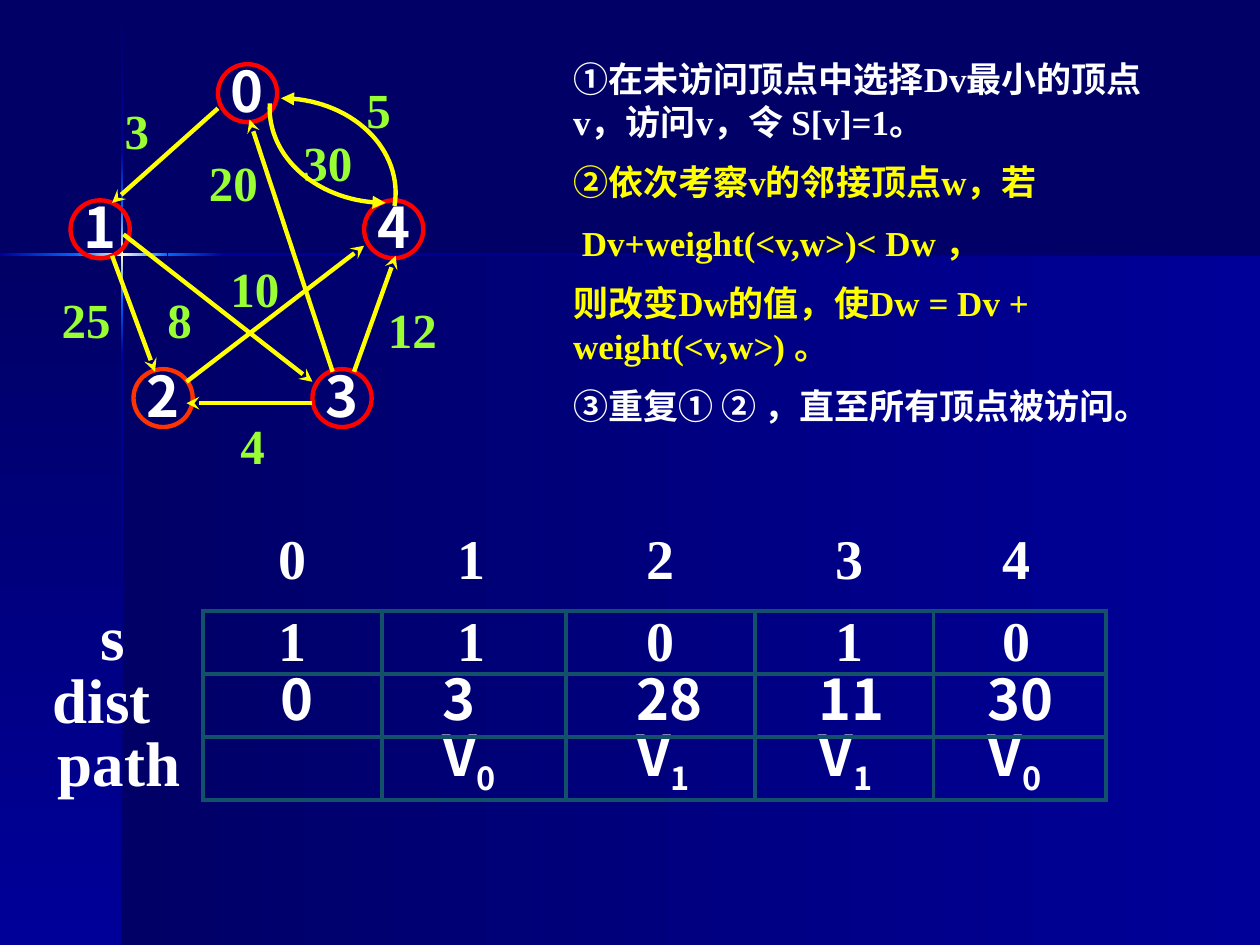
from copy import deepcopy
from math import cos, radians, sin

from pptx import Presentation
from pptx.dml.color import RGBColor
from pptx.enum.shapes import MSO_CONNECTOR, MSO_SHAPE
from pptx.enum.text import MSO_ANCHOR, PP_ALIGN
from pptx.oxml import parse_xml
from pptx.oxml.ns import nsdecls, qn
from pptx.util import Inches, Pt

WHITE = RGBColor(0xFF, 0xFF, 0xFF)
YELLOW = RGBColor(0xFF, 0xFF, 0x00)
GREEN = RGBColor(0x99, 0xFF, 0x33)
RED = RGBColor(0xFF, 0x00, 0x00)
ORANGE = RGBColor(0xFF, 0x33, 0x00)
TEAL = RGBColor(0x13, 0x50, 0x69)
NAVY = RGBColor(0x00, 0x00, 0x66)
BLUE = RGBColor(0x00, 0x00, 0x99)
BRIGHT = RGBColor(0x00, 0x66, 0xFF)
CREAM = RGBColor(0xFF, 0xFF, 0xCC)

SERIF = "Times New Roman"
SANS = "Noto Sans CJK SC"
PLAIN_TABLE = "{2D5ABB26-0587-4C30-8999-92F81FD0307C}"

# The slide is a grid of 100 columns by 75 rows
COLUMNS, ROWS = 100, 75
DOWN, ACROSS = 270, 0

BANDS = [  # left, top, width, height, direction, colours
    (9.7, 20.2, 90.3, 54.8, ACROSS, (NAVY, BLUE)),
    (0, 20.2, 9.7, 54.8, DOWN, (NAVY, BLUE)),
    (9.6, 0.1, 0.2, 12, DOWN, (NAVY, BLUE)),
    (9.6, 28.2, 0.2, 46.8, DOWN, (BLUE, NAVY)),
    (17.7, 20.1, 82.3, 0.2, ACROSS, (BLUE, NAVY)),
    (9.6, 23.8, 0.2, 4.4, DOWN, (BRIGHT, BLUE)),
    (9.6, 12.1, 0.2, 4.4, DOWN, (BLUE, BRIGHT)),
    (9.6, 16.5, 0.2, 7.3, DOWN, (BRIGHT, CREAM, BRIGHT)),
    (0, 20.1, 6.1, 0.2, ACROSS, (BLUE, BRIGHT)),
    (13.3, 20.1, 4.4, 0.2, ACROSS, (BRIGHT, BLUE)),
    (6, 20.1, 7.3, 0.2, ACROSS, (BRIGHT, CREAM, BRIGHT)),
]
NODES = [("0", 17.3, 5.1, RED), ("1", 5.6, 15.9, RED), ("2", 10.6, 29.3, ORANGE),
         ("3", 24.8, 29.3, RED), ("4", 28.9, 15.9, RED)]
WEIGHTS = [("3", 8.9, 7), ("25", 3.9, 22), ("8", 12.3, 22), ("10", 17.3, 19.5),
           ("20", 15.6, 11.1), ("4", 18.1, 32), ("5", 28.1, 5.3),
           ("30", 23.1, 9.5), ("12", 29.8, 22.8)]
EDGES = [(8.9, 20.3, 12.3, 29.5), (24.8, 32, 14.8, 32), (28.1, 29.5, 31.4, 20.3),
         (26.4, 29.5, 19.8, 9.5), (9.8, 18.6, 24.8, 30.3), (14.8, 30.3, 28.9, 19.5),
         (17.3, 8.6, 8.9, 16.1)]
CURVES = [  # centre, radii, first and last angle
    (22.3, 15.3, 9.1, 7.5, -90, 8),
    (30.6, 8.6, 9.2, 7.5, 90, 183),
]
STEPS = [
    ("①在未访问顶点中选择Dv最小的顶点v，访问v，令 S[v]=1。", WHITE),
    ("②依次考察v的邻接顶点w，若", YELLOW),
    (" Dv+weight(<v,w>)< Dw ，", YELLOW),
    ("则改变Dw的值，使Dw = Dv + weight(<v,w>) 。", YELLOW),
    ("③重复① ② ，直至所有顶点被访问。", WHITE),
]
COLUMN_EDGES = [3.2, 16.1, 30.3, 44.9, 59.9, 74.1, 87.8]
ROW_HEIGHTS = [7.5, 5, 5, 5]
FLAG_INDENTS = [6, 6, 6.4, 6.4, 5.5]
VALUE_INDENTS = [6.2, 4.8, 5.6, 5.1, 4.3]
TABLE_ROWS = [  # row label, its indent, values, their indents, font
    ("", 0, "0 1 2 3 4".split(), FLAG_INDENTS, SERIF),
    ("s", 4.8, "1 1 0 1 0".split(), FLAG_INDENTS, SERIF),
    ("dist", 1, "0 3 28 11 30".split(), VALUE_INDENTS, SANS),
    ("path", 1.4, ["", "V0", "V1", "V1", "V0"], VALUE_INDENTS, SANS),
]


def grid(*lengths):
    return [Inches(length * 10 / COLUMNS) for length in lengths]


def add_run(paragraph, text, size, colour, font=SERIF):
    run = paragraph.add_run()
    run.text = text
    run.font.size, run.font.bold, run.font.name = Pt(size), True, font
    run.font.color.rgb = colour
    east_asian = run._r.get_or_add_rPr().makeelement(qn("a:ea"), {"typeface": SANS})
    run._r.rPr.find(qn("a:latin")).addnext(east_asian)
    return run


def add_band(slide, left, top, width, height, angle, colours):
    band = slide.shapes.add_shape(MSO_SHAPE.RECTANGLE, *grid(left, top, width, height))
    band.shadow.inherit = False
    band.line.fill.background()
    band.fill.gradient()
    band.fill.gradient_angle = angle
    stop_list = band._element.spPr.find(qn("a:gradFill")).find(qn("a:gsLst"))
    while len(stop_list) < len(colours):
        stop_list.append(deepcopy(stop_list[-1]))
    for i, (stop, colour) in enumerate(zip(band.fill.gradient_stops, colours)):
        stop.position = i / (len(colours) - 1)
        stop.color.rgb = colour


def add_text_box(slide, left, top, width, height, margin_top=0.5):
    frame = slide.shapes.add_textbox(*grid(left, top, width, height)).text_frame
    frame.word_wrap = True
    frame.margin_top, = grid(margin_top)
    return frame


def add_node(slide, name, left, top, colour):
    node = slide.shapes.add_shape(MSO_SHAPE.OVAL, *grid(left, top, 4.7, 4.6))
    node.shadow.inherit = False
    node.fill.background()
    node.line.color.rgb, node.line.width = colour, Pt(2.5)
    frame = node.text_frame
    frame.word_wrap = False
    frame.vertical_anchor = MSO_ANCHOR.MIDDLE
    frame.margin_left = frame.margin_right = frame.margin_bottom = 0
    frame.margin_top, = grid(0.4)
    paragraph = frame.paragraphs[0]
    paragraph.alignment = PP_ALIGN.CENTER
    paragraph.line_spacing = Pt(32)
    add_run(paragraph, name, 32, WHITE, SANS)


def style_arrow(arrow, end, kind):
    arrow.line.color.rgb, arrow.line.width = YELLOW, Pt(2.5)
    arrow.line._get_or_add_ln().append(
        parse_xml(f'<a:{end} {nsdecls("a")} type="{kind}"/>'))


def add_edge(slide, *ends):
    edge = slide.shapes.add_connector(MSO_CONNECTOR.STRAIGHT, *grid(*ends))
    style_arrow(edge, "tailEnd", "stealth")
    edge._element.spPr.append(parse_xml(f'<a:effectLst {nsdecls("a")}/>'))


def add_curve(slide, x, y, radius_x, radius_y, first, last, pieces=32):
    angles = [radians(first + (last - first) * i / pieces) for i in range(pieces + 1)]
    points = [grid(x + radius_x * cos(a), y + radius_y * sin(a)) for a in angles]
    builder = slide.shapes.build_freeform(*points[0])
    builder.add_line_segments(points[1:], close=False)
    curve = builder.convert_to_shape()
    curve.shadow.inherit = False
    curve.fill.background()
    style_arrow(curve, "headEnd", "triangle")


def fill_cell(cell, text, indent, size, font, margin_bottom):
    cell.fill.background()
    cell.vertical_anchor = MSO_ANCHOR.BOTTOM
    cell.margin_left, cell.margin_bottom = grid(indent, margin_bottom)
    cell.margin_right = cell.margin_top = 0
    paragraph = cell.text_frame.paragraphs[0]
    paragraph.line_spacing = Pt(34)
    if text.startswith("V"):
        add_run(paragraph, "V", size, WHITE, font)
        subscript = add_run(paragraph, text[1:], size, WHITE, font)
        subscript._r.rPr.set("baseline", "-25000")
    elif text:
        add_run(paragraph, text, size, WHITE, font)


def add_borders(cell):
    for i, side in enumerate(("lnL", "lnR", "lnT", "lnB")):
        cell._tc.get_or_add_tcPr().insert(i, parse_xml(
            f'<a:{side} {nsdecls("a")} w="{Pt(2.5)}"><a:solidFill>'
            f'<a:srgbClr val="{TEAL}"/></a:solidFill></a:{side}>'))


def add_state_table(slide):
    width = COLUMN_EDGES[-1] - COLUMN_EDGES[0]
    frame = slide.shapes.add_table(len(TABLE_ROWS), len(COLUMN_EDGES) - 1,
                                   *grid(COLUMN_EDGES[0], 41, width, sum(ROW_HEIGHTS)))
    table = frame.table
    table.first_row = table.horz_banding = False
    table._tbl.tblPr.find(qn("a:tableStyleId")).text = PLAIN_TABLE
    for column, left, right in zip(table.columns, COLUMN_EDGES, COLUMN_EDGES[1:]):
        column.width, = grid(right - left)
    for r, (label, label_indent, values, indents, font) in enumerate(TABLE_ROWS):
        table.rows[r].height, = grid(ROW_HEIGHTS[r])
        fill_cell(table.cell(r, 0), label, label_indent, 36, SERIF, 0)
        for c, (value, indent) in enumerate(zip(values, indents), start=1):
            cell = table.cell(r, c)
            fill_cell(cell, value, indent, 32, font, 0 if r else 1.5)
            if r:
                add_borders(cell)


def main():
    deck = Presentation()
    deck.slide_width, deck.slide_height = grid(COLUMNS, ROWS)
    slide = deck.slides.add_slide(deck.slide_layouts[6])

    # Backdrop
    slide.background.fill.solid()
    slide.background.fill.fore_color.rgb = NAVY
    for band in BANDS:
        add_band(slide, *band)

    # Weighted graph
    for node in NODES:
        add_node(slide, *node)
    for weight, left, top in WEIGHTS:
        frame = add_text_box(slide, left, top, 2.5 + 2.5 * len(weight), 5.7, 1)
        add_run(frame.paragraphs[0], weight, 28, GREEN)
    for edge in EDGES:
        add_edge(slide, *edge)
    for curve in CURVES:
        add_curve(slide, *curve)

    # Steps of the algorithm
    frame = add_text_box(slide, 44.5, 4, 50, 31)
    for i, (step, colour) in enumerate(STEPS):
        paragraph = frame.add_paragraph() if i else frame.paragraphs[0]
        paragraph.line_spacing = Pt(24.5)
        paragraph.space_before = Pt(10 if i else 0)
        add_run(paragraph, step, 20, colour)

    # Visited flags, distances and predecessors
    add_state_table(slide)
    deck.save("out.pptx")


if __name__ == "__main__":
    main()
